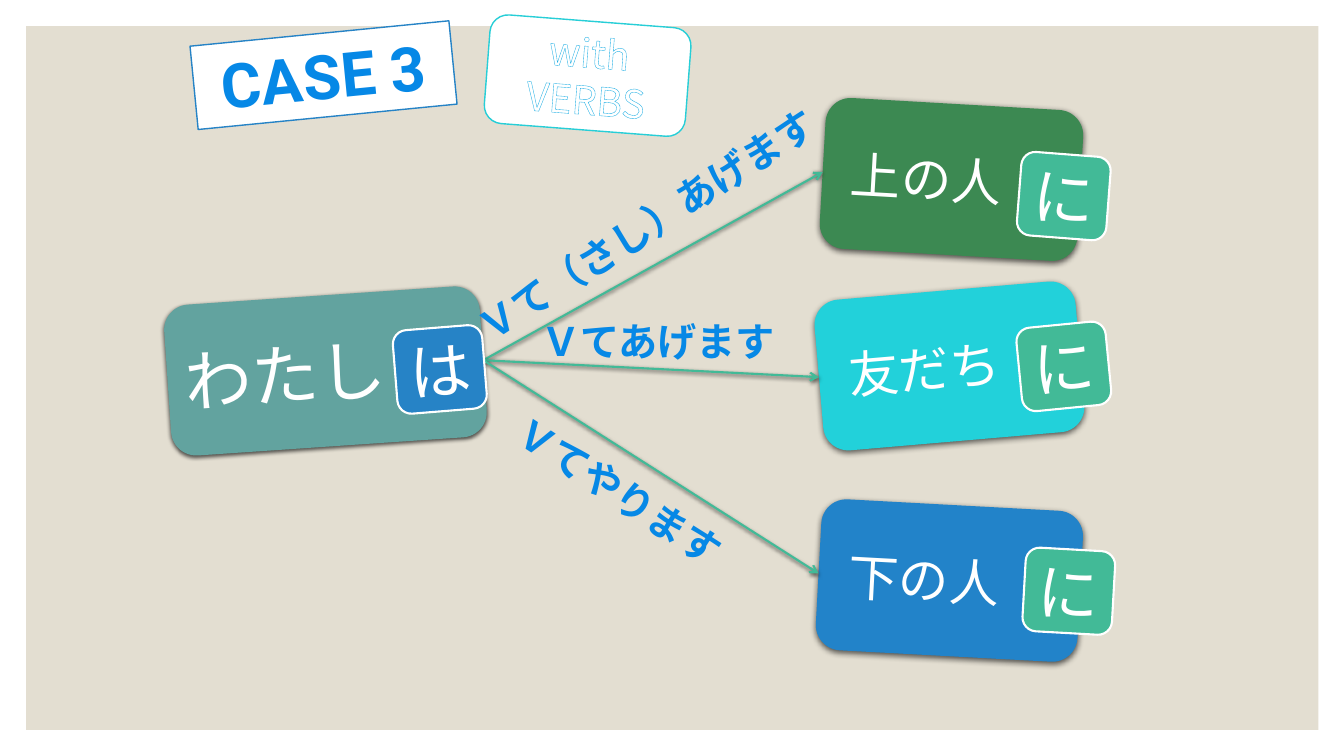
"""Build the CASE 3 slide about giving verbs with て-forms."""
from math import cos, radians, sin

from lxml.etree import SubElement
from pptx import Presentation
from pptx.dml.color import RGBColor
from pptx.enum.shapes import MSO_CONNECTOR, MSO_SHAPE
from pptx.enum.text import MSO_ANCHOR, PP_ALIGN
from pptx.oxml import parse_xml
from pptx.oxml.ns import nsdecls, qn
from pptx.util import Pt

COLORS = {
    "panel": "E3DED1", "white": "FFFFFF", "speaker": "62A39F",
    "superior": "3C8952", "friend": "22D1DA", "inferior": "2283C9",
    "topic": "2683C6", "particle": "42BA97", "verb": "0688E6",
    "badge": "27CED7", "badge_text": "1CADE4",
}
LEFT_SIDE, RIGHT_SIDE = 1, 3


def color(name):
    """Return the named colour."""
    return RGBColor.from_string(COLORS[name])


def add_shadow(properties, blur, distance):
    """Put a soft downward shadow on a shape's properties."""
    for effects in properties.findall(qn("a:effectLst")):
        properties.remove(effects)
    properties.append(parse_xml(
        f'<a:effectLst {nsdecls("a")}><a:outerShdw blurRad="{Pt(blur)}" '
        f'dist="{Pt(distance)}" dir="5400000" rotWithShape="0"><a:srgbClr val="000000">'
        '<a:alpha val="63000"/></a:srgbClr></a:outerShdw></a:effectLst>'))


def place(shape, box, rotation):
    """Move a shape to a box in points and turn it."""
    shape.left, shape.top, shape.width, shape.height = (Pt(length) for length in box)
    shape.rotation = rotation


def paint(shape, fill, line=None, width=1):
    """Set the fill and outline of a shape."""
    shape.fill.solid()
    shape.fill.fore_color.rgb = color(fill)
    if line:
        shape.line.color.rgb = color(line)
        shape.line.width = Pt(width)
    else:
        shape.line.fill.background()


def write(shape, text, size, ink="white", font="Arial", bold=False, align=PP_ALIGN.CENTER):
    """Write one formatted paragraph, centred vertically."""
    frame = shape.text_frame
    frame.word_wrap = True
    frame.vertical_anchor = MSO_ANCHOR.MIDDLE
    paragraph = frame.paragraphs[0]
    paragraph.text = text
    paragraph.alignment = align
    paragraph.font.size = Pt(size)
    paragraph.font.name = font
    paragraph.font.bold = bold
    paragraph.font.color.rgb = color(ink)


def add_block(slide, box, rotation, fill, line=None, width=1, kind=MSO_SHAPE.ROUNDED_RECTANGLE):
    """Add a painted shape without a shadow."""
    shape = slide.shapes.add_shape(kind, *(Pt(length) for length in box))
    shape.rotation = rotation
    shape.shadow.inherit = False
    paint(shape, fill, line, width)
    return shape


def add_person(slide, box, rotation, fill, text, size=36, align=PP_ALIGN.CENTER, blur=4.5):
    """Add a shadowed card that names a person."""
    card = add_block(slide, box, rotation, fill)
    add_shadow(card._element.spPr, blur, blur / 3)
    write(card, text, size, align=align)
    return card


def add_particle(slide, left, top, rotation, fill, text):
    """Add a white-edged tile with a particle."""
    tile = add_block(slide, (left, top, 64, 59.8), rotation, fill, "white", 1.5)
    write(tile, text, 44)


def add_verb(slide, box, rotation, text):
    """Add a turned verb label."""
    label = slide.shapes.add_textbox(*(Pt(length) for length in box))
    label.rotation = rotation
    write(label, text, 28, "verb", bold=True)


def side_middle(shape, direction):
    """Return the middle of a turned shape's left (-1) or right (1) side."""
    angle, reach = radians(shape.rotation), direction * shape.width / 2
    return (int(shape.left + shape.width / 2 + reach * cos(angle)),
            int(shape.top + shape.height / 2 + reach * sin(angle)))


def add_arrow(slide, giver, receiver):
    """Join the giver's right side to the receiver's left side."""
    start, end = side_middle(giver, 1), side_middle(receiver, -1)
    arrow = slide.shapes.add_connector(MSO_CONNECTOR.STRAIGHT, *start, *end)
    arrow.begin_connect(giver, RIGHT_SIDE)
    arrow.end_connect(receiver, LEFT_SIDE)
    arrow.begin_x, arrow.begin_y = start
    arrow.end_x, arrow.end_y = end
    arrow.line.color.rgb = color("particle")
    arrow.line.width = Pt(1.5)
    SubElement(arrow.line._get_or_add_ln(), qn("a:tailEnd"), type="arrow")
    add_shadow(arrow._element.spPr, 3, 1)


def add_title(slide):
    """Turn the title placeholder into a rounded card."""
    title = slide.shapes.title
    place(title, (138.2, 23.8, 185.8, 59.8), -5.6)
    title._element.spPr.append(parse_xml(
        f'<a:prstGeom {nsdecls("a")} prst="roundRect"><a:avLst/></a:prstGeom>'))
    paint(title, "white", "topic")
    write(title, "CASE 3", 44, "verb", "Roboto", True)


def add_badge(slide):
    """Add the badge with outlined letters."""
    badge = add_block(slide, (347.8, 15.1, 144, 77.8), 4.4, "white", "badge")
    write(badge, "with VERBS", 28, font="Noto Sans CJK JP")
    run = badge.text_frame.paragraphs[0].runs[0]
    run.font.color.rgb = color("white")
    run.font._element.insert(0, parse_xml(
        f'<a:ln {nsdecls("a")} w="{Pt(0.8)}"><a:solidFill>'
        f'<a:srgbClr val="{COLORS["badge_text"]}"/></a:solidFill></a:ln>'))


def main():
    """Build and save the slide."""
    presentation = Presentation()
    presentation.slide_width, presentation.slide_height = Pt(960), Pt(540)
    slide = presentation.slides.add_slide(presentation.slide_layouts[5])
    panel = add_block(slide, (18.7, 18.7, 923, 502.6), 0, "panel", kind=MSO_SHAPE.RECTANGLE)
    slide.shapes._spTree.insert(2, panel._element)
    add_title(slide)

    speaker = add_person(slide, (119.5, 211, 226, 108), -3.9, "speaker", "わたし",
                         48, PP_ALIGN.LEFT, 3)
    receivers = [
        add_person(slide, box, rotation, fill, text)
        for box, rotation, fill, text in (
            ((587.5, 74.2, 184.3, 108), 3.3, "superior", "上の人　"),
            ((584.6, 207.4, 187.2, 108), -4.9, "friend", "友だち　"),
            ((584.6, 360.7, 187.2, 108), 3.1, "inferior", "下の人　"))]
    for receiver in receivers:
        add_arrow(slide, speaker, receiver)

    add_particle(slide, 282.2, 234, -4.6, "topic", "は")
    add_verb(slide, (304.6, 127.4, 314.6, 66.2), -32.8, "Ｖて（さし）あげます")
    add_verb(slide, (301, 317.5, 283, 66.2), 32.9, "Ｖてやります")
    add_verb(slide, (365.8, 210.2, 208.8, 66.2), 0, "Ｖてあげます")
    for left, top, rotation in ((727.9, 110.2, 4.4), (727.9, 231.8, -5.6), (731.5, 392.4, 3.2)):
        add_particle(slide, left, top, rotation, "particle", "に")
    add_badge(slide)
    presentation.save("out.pptx")


if __name__ == "__main__":
    main()
